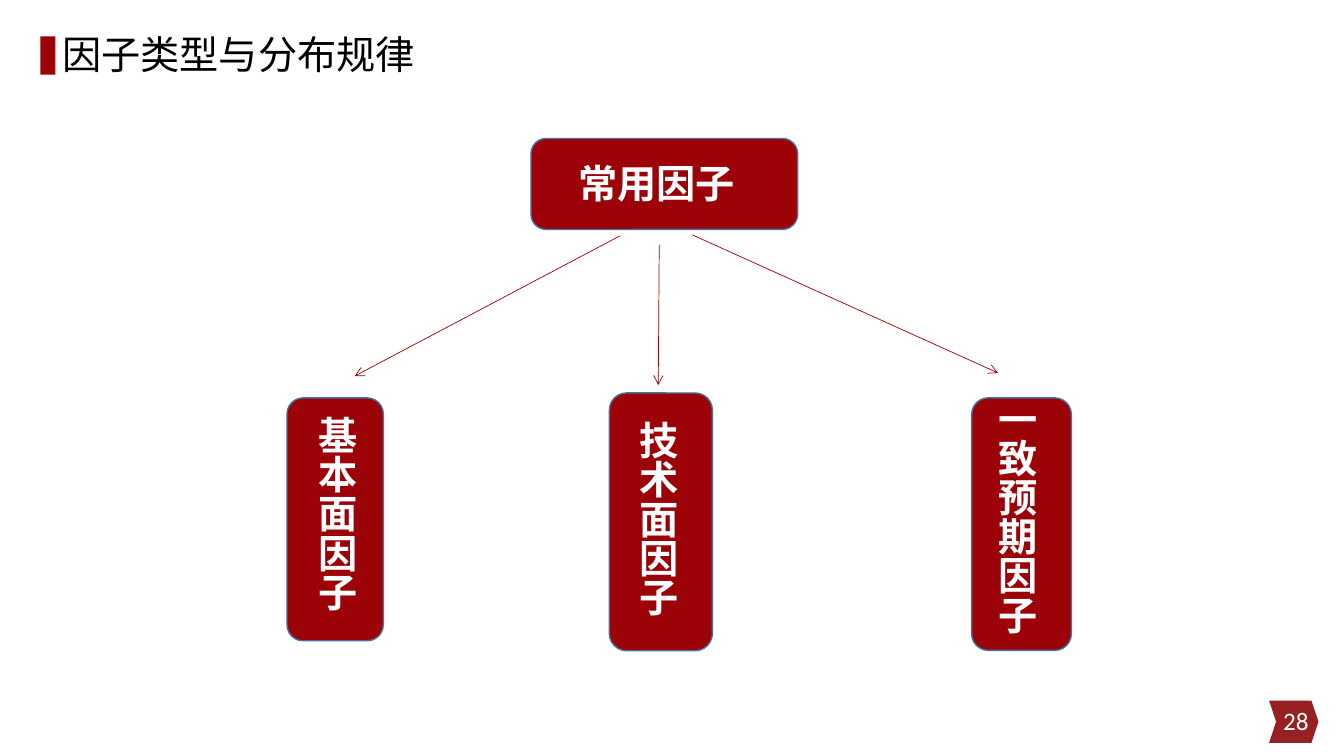
from lxml.etree import SubElement
from pptx import Presentation
from pptx.dml.color import RGBColor
from pptx.enum.shapes import MSO_CONNECTOR, MSO_SHAPE
from pptx.enum.text import MSO_ANCHOR, MSO_AUTO_SIZE, PP_ALIGN
from pptx.oxml.ns import qn
from pptx.util import Pt

RED = "9C0308"
CJK_FONT = "Noto Sans CJK SC"


def add_block(kind, box, fill, outline=None):
    """Add a filled shape; box is left, top, width, height in points."""
    shape = slide.shapes.add_shape(kind, *map(Pt, box))
    shape.shadow.inherit = False
    shape.fill.solid()
    shape.fill.fore_color.rgb = RGBColor.from_string(fill)
    if outline:
        shape.line.color.rgb = RGBColor.from_string(outline)
        shape.line.width = Pt(1)
    else:
        shape.line.fill.background()
    return shape


def write_text(shape, text, size, color, latin="Calibri", bold=False):
    paragraph = shape.text_frame.paragraphs[0]
    paragraph.text = text
    font = paragraph.runs[0].font
    font.size, font.bold, font.name = Pt(size), bold, latin
    font.color.rgb = RGBColor.from_string(color)
    run_properties = paragraph.runs[0]._r.get_or_add_rPr()
    SubElement(run_properties, qn("a:ea")).set("typeface", CJK_FONT)
    return paragraph


presentation = Presentation()
presentation.slide_width, presentation.slide_height = Pt(960), Pt(540)
slide = presentation.slides.add_slide(presentation.slide_layouts[5])

# Page frame
page_marker = add_block(MSO_SHAPE.CHEVRON, (906.5, 500.4, 35.3, 30.2), "972022")
page_marker.adjustments[0] = 0.167
add_block(MSO_SHAPE.RECTANGLE, (28.8, 25.9, 10.8, 27.4), RED)

title = slide.shapes.title
title.left, title.top, title.width, title.height = map(Pt, (37.4, -1.4, 814.3, 84.2))
title.text_frame.vertical_anchor = MSO_ANCHOR.MIDDLE
title.text_frame.auto_size = MSO_AUTO_SIZE.NONE
paragraph = write_text(title, "因子类型与分布规律", 28, "000000", CJK_FONT)
paragraph.alignment = PP_ALIGN.LEFT
paragraph.line_spacing = 0.9

page_number = slide.shapes.add_textbox(*map(Pt, (725.8, 500.4, 216, 28.8)))
page_number.text_frame.word_wrap = True
page_number.text_frame.vertical_anchor = MSO_ANCHOR.MIDDLE
write_text(page_number, "28", 18, "FFFFFF").alignment = PP_ALIGN.RIGHT

# Factor tree: label, block, label box, vertical text
factors = [
    ("常用因子", (379.3, 98.9, 190.5, 65), (406.1, 110.2, 177.8, 41), False),
    ("基本面因子", (205, 284.2, 68.8, 173.5), (212.4, 290.2, 48.2, 147.6), True),
    ("技术面因子", (435.3, 280.7, 73.6, 184.1), (442.1, 293.8, 48.2, 147.6), True),
    ("一致预期因子", (694.1, 284.2, 71.2, 180.4), (698.4, 278.6, 48.2, 176.4), True),
]
for label, block, label_box, vertical in factors:
    add_block(MSO_SHAPE.ROUNDED_RECTANGLE, block, RED, "43739E")
    text_box = slide.shapes.add_textbox(*map(Pt, label_box))
    text_frame = text_box.text_frame
    text_frame.word_wrap = not vertical
    text_frame.auto_size = MSO_AUTO_SIZE.SHAPE_TO_FIT_TEXT
    if vertical:
        text_frame._txBody.bodyPr.set("vert", "eaVert")
    write_text(text_box, label, 28, "FFFFFF", bold=True)

# Arrows from the root to each branch
arrows = [
    (442.8, 168.5, 253.4, 268.6),
    (470.9, 175, 470.2, 275),
    (494.6, 167.8, 712.8, 266.4),
]
for ends in arrows:
    arrow = slide.shapes.add_connector(MSO_CONNECTOR.STRAIGHT, *map(Pt, ends))
    arrow.line.color.rgb = RGBColor.from_string(RED)
    arrow.line.width = Pt(0.5)
    SubElement(arrow.line._get_or_add_ln(), qn("a:tailEnd")).set("type", "arrow")
    SubElement(arrow._element.spPr, qn("a:effectLst"))

presentation.save("out.pptx")
